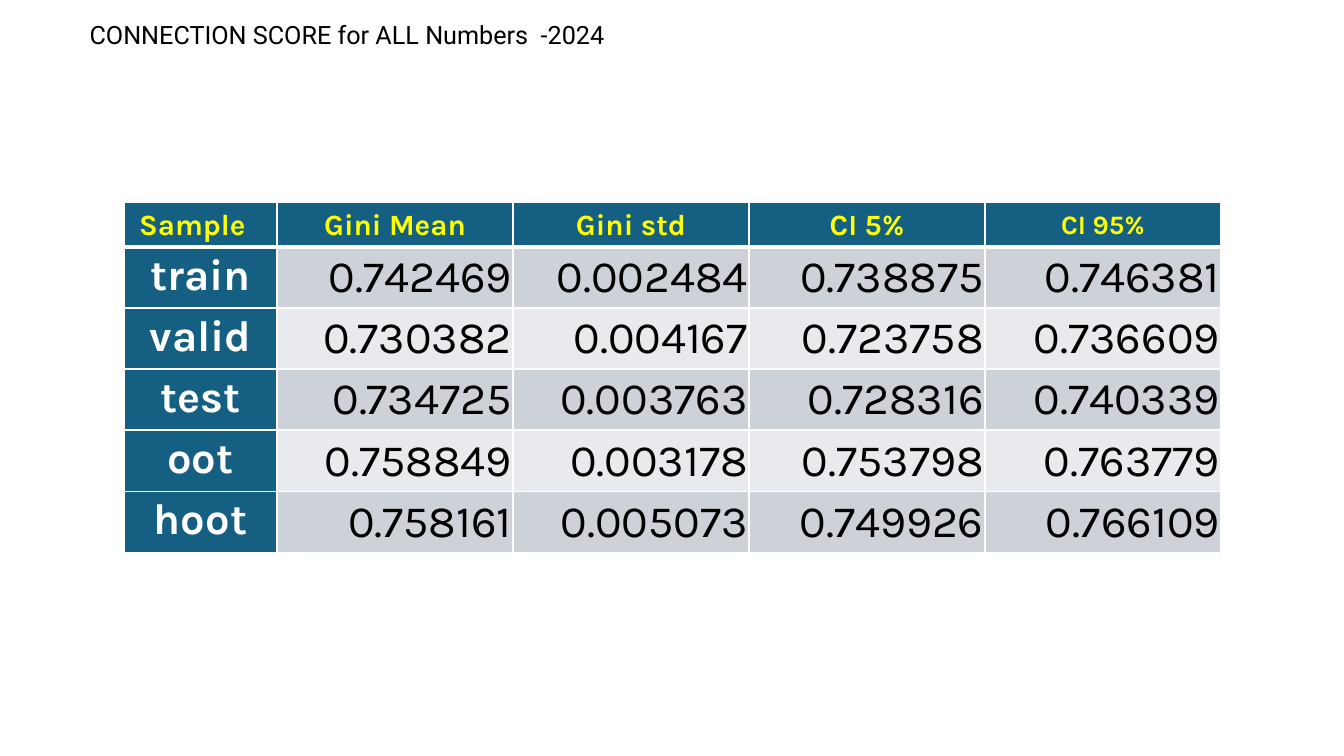
"""Build the connection score slide with its table of Gini statistics."""

from dataclasses import dataclass

from lxml.etree import SubElement
from pptx import Presentation
from pptx.dml.color import RGBColor
from pptx.enum.text import MSO_ANCHOR, PP_ALIGN
from pptx.oxml.ns import qn
from pptx.slide import Slide
from pptx.table import _Cell
from pptx.text.text import _Paragraph
from pptx.util import Pt


@dataclass(frozen=True)
class Theme:
    """Colours, fonts and type sizes of the slide."""

    blue: str = "156082"
    yellow: str = "FFFF00"
    white: str = "FFFFFF"
    black: str = "000000"
    bands: tuple[str, str] = ("CCD2D8", "E8EAED")
    table_font: str = "Karla"
    title_font: str = "Roboto"
    title_size: float = 18
    header_size: float = 21
    small_header_size: float = 19
    sample_size: float = 31
    value_size: float = 32
    thin_line: float = 1
    thick_line: float = 3


@dataclass(frozen=True)
class TextStyle:
    """Look of one run of text."""

    font: str
    size: float
    colour: str
    bold: bool = False


@dataclass(frozen=True)
class CellStyle:
    """Look of one table cell, with margins and line widths in points."""

    text: TextStyle
    fill: str
    alignment: PP_ALIGN
    anchor: MSO_ANCHOR
    margins: tuple[float, float, float, float]
    line_spacing: float = 1.0
    top_line: float = 1
    bottom_line: float = 1


@dataclass(frozen=True)
class Sample:
    """One row of the score table."""

    name: str
    values: tuple[str, str, str, str]


THEME = Theme()
TITLE = "CONNECTION SCORE for ALL Numbers  -2024"
HEADERS = ("Sample", "Gini Mean", "Gini std", "CI 5%", "CI 95%")
SAMPLES = (
    Sample("train", ("0.742469", "0.002484", "0.738875", "0.746381")),
    Sample("valid", ("0.730382", "0.004167", "0.723758", "0.736609")),
    Sample("test", ("0.734725", "0.003763", "0.728316", "0.740339")),
    Sample("oot", ("0.758849", "0.003178", "0.753798", "0.763779")),
    Sample("hoot", ("0.758161", "0.005073", "0.749926", "0.766109")),
)
COLUMN_WIDTHS = (109.3, *[168.55] * 4)
ROW_HEIGHTS = (31.7, *[43.6] * len(SAMPLES))
LABEL_MARGINS = (10.8, 0, 10.8, 0)
VALUE_MARGINS = (0.72, 0.72, 0.72, 0)


def add_run(paragraph: _Paragraph, text: str, style: TextStyle) -> None:
    """Append a styled run to a paragraph."""
    run = paragraph.add_run()
    run.text = text
    run.font.name = style.font
    run.font.size = Pt(style.size)
    run.font.bold = style.bold
    run.font.color.rgb = RGBColor.from_string(style.colour)


def add_borders(cell: _Cell, style: CellStyle) -> None:
    """Draw white lines on the four sides of a cell."""
    properties = cell._tc.get_or_add_tcPr()
    widths = {
        "a:lnL": THEME.thin_line,
        "a:lnR": THEME.thin_line,
        "a:lnT": style.top_line,
        "a:lnB": style.bottom_line,
    }
    for tag, width in widths.items():
        line = SubElement(properties, qn(tag), w=str(Pt(width)))
        fill = SubElement(line, qn("a:solidFill"))
        SubElement(fill, qn("a:srgbClr"), val=THEME.white)


def fill_cell(cell: _Cell, text: str, style: CellStyle) -> None:
    """Write and format one table cell."""
    left, top, right, bottom = style.margins
    cell.margin_left, cell.margin_top = Pt(left), Pt(top)
    cell.margin_right, cell.margin_bottom = Pt(right), Pt(bottom)
    cell.vertical_anchor = style.anchor
    add_borders(cell, style)
    cell.fill.solid()
    cell.fill.fore_color.rgb = RGBColor.from_string(style.fill)
    paragraph = cell.text_frame.paragraphs[0]
    paragraph.alignment = style.alignment
    paragraph.line_spacing = style.line_spacing
    add_run(paragraph, text, style.text)


def header_style(column: int) -> CellStyle:
    """Return the style of a header cell."""
    is_last = column == len(HEADERS) - 1
    size = THEME.small_header_size if is_last else THEME.header_size
    return CellStyle(
        TextStyle(THEME.table_font, size, THEME.yellow, True),
        THEME.blue,
        PP_ALIGN.CENTER if column else PP_ALIGN.LEFT,
        MSO_ANCHOR.MIDDLE,
        LABEL_MARGINS,
        line_spacing=1.07,
        bottom_line=THEME.thick_line,
    )


def body_style(row: int, column: int) -> CellStyle:
    """Return the style of a sample name or value cell."""
    top_line = THEME.thick_line if row == 1 else THEME.thin_line
    if column == 0:
        return CellStyle(
            TextStyle(THEME.table_font, THEME.sample_size, THEME.white, True),
            THEME.blue,
            PP_ALIGN.CENTER,
            MSO_ANCHOR.TOP,
            LABEL_MARGINS,
            line_spacing=1.07,
            top_line=top_line,
        )
    return CellStyle(
        TextStyle(THEME.table_font, THEME.value_size, THEME.black),
        THEME.bands[(row - 1) % 2],
        PP_ALIGN.RIGHT,
        MSO_ANCHOR.MIDDLE,
        VALUE_MARGINS,
        top_line=top_line,
    )


def add_title(slide: Slide) -> None:
    """Add the heading above the table."""
    shape = slide.shapes.add_textbox(Pt(56.9), Pt(10.1), Pt(478), Pt(51))
    shape.text_frame.word_wrap = True
    style = TextStyle(THEME.title_font, THEME.title_size, THEME.black)
    add_run(shape.text_frame.paragraphs[0], TITLE, style)


def add_score_table(slide: Slide) -> None:
    """Add the table of Gini statistics per sample."""
    table = slide.shapes.add_table(
        len(ROW_HEIGHTS), len(COLUMN_WIDTHS), Pt(88.6), Pt(144.7),
        Pt(sum(COLUMN_WIDTHS)), Pt(sum(ROW_HEIGHTS)),
    ).table
    for column, width in zip(table.columns, COLUMN_WIDTHS):
        column.width = Pt(width)
    for row, height in zip(table.rows, ROW_HEIGHTS):
        row.height = Pt(height)
    for column, header in enumerate(HEADERS):
        fill_cell(table.cell(0, column), header, header_style(column))
    for row, sample in enumerate(SAMPLES, start=1):
        for column, text in enumerate((sample.name, *sample.values)):
            fill_cell(table.cell(row, column), text, body_style(row, column))


def main() -> None:
    """Create and save the presentation."""
    presentation = Presentation()
    presentation.slide_width, presentation.slide_height = Pt(960), Pt(540)
    slide = presentation.slides.add_slide(presentation.slide_layouts[6])
    add_score_table(slide)
    add_title(slide)
    presentation.save("out.pptx")


if __name__ == "__main__":
    main()
